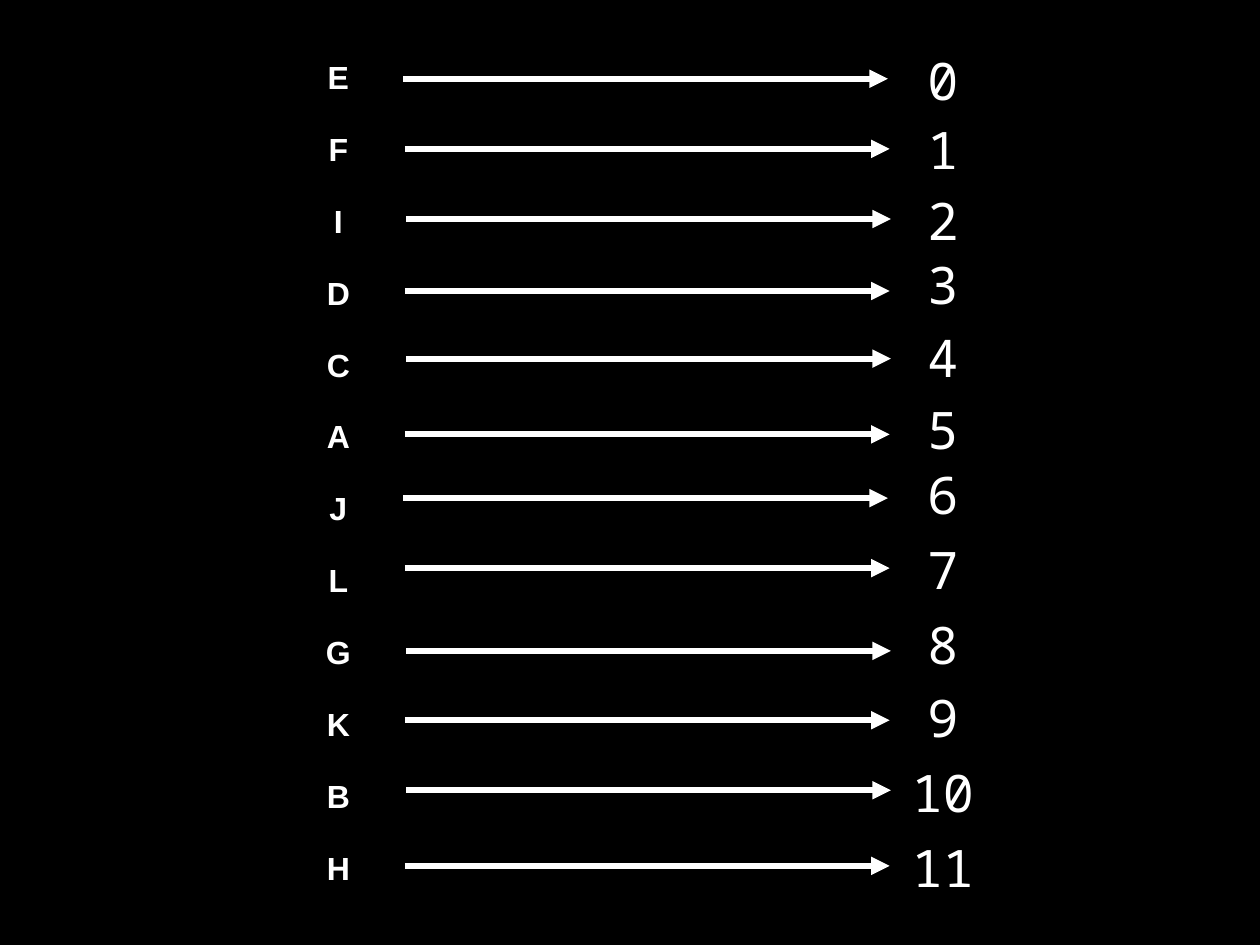
from dataclasses import dataclass

from lxml import etree
from pptx import Presentation
from pptx import util as u
from pptx.dml.color import RGBColor
from pptx.enum import shapes, text
from pptx.oxml.ns import qn


@dataclass(frozen=True)
class Theme:
    background: RGBColor = RGBColor(0, 0, 0)
    ink: RGBColor = RGBColor(255, 255, 255)
    letter_font: str = "Arial"
    letter_size: float = 26
    index_font: str = "Noto Sans Mono"
    index_size: float = 42
    arrow_weight: float = 5
    inset: float = 4


class MappingSlide:
    def __init__(self, deck, theme):
        self.theme = theme
        self.slide = deck.slides.add_slide(deck.slide_layouts[6])
        self.slide.background.fill.solid()
        self.slide.background.fill.fore_color.rgb = theme.background

    def label(self, frame, content, font_name, size, bold=False):
        frame.margin_left = frame.margin_right = u.Pt(self.theme.inset)
        frame.margin_top = frame.margin_bottom = u.Pt(self.theme.inset)
        frame.vertical_anchor = text.MSO_ANCHOR.MIDDLE
        line = frame.paragraphs[0]
        line.text = content
        line.alignment = text.PP_ALIGN.CENTER
        line.font.name = font_name
        line.font.size = u.Pt(size)
        line.font.bold = bold
        line.font.color.rgb = self.theme.ink

    def letter(self, content, left, top, diameter):
        node = self.slide.shapes.add_shape(
            shapes.MSO_SHAPE.OVAL, u.Pt(left), u.Pt(top), u.Pt(diameter), u.Pt(diameter))
        node.shadow.inherit = False
        node.fill.background()
        node.line.fill.background()
        self.label(node.text_frame, content, self.theme.letter_font,
                   self.theme.letter_size, bold=True)

    def arrow(self, left, y, length):
        link = self.slide.shapes.add_connector(
            shapes.MSO_CONNECTOR.STRAIGHT, u.Pt(left), u.Pt(y), u.Pt(left + length), u.Pt(y))
        link.line.color.rgb = self.theme.ink
        link.line.width = u.Pt(self.theme.arrow_weight)
        properties = link.element.spPr
        etree.SubElement(properties.find(qn("a:ln")), qn("a:tailEnd"), type="triangle")
        etree.SubElement(properties, qn("a:effectLst"))

    def index(self, content, center, top, width, height):
        box = self.slide.shapes.add_textbox(
            u.Pt(center - width / 2), u.Pt(top), u.Pt(width), u.Pt(height))
        box.text_frame.word_wrap = False
        box.text_frame.auto_size = text.MSO_AUTO_SIZE.SHAPE_TO_FIT_TEXT
        self.label(box.text_frame, content, self.theme.index_font, self.theme.index_size)


# Letter, arrow start, arrow height, top of the index (hand-placed rows)
ROWS = [
    ("E", 327.6, 64, 36.7),
    ("F", 329, 121, 92.2),
    ("I", 330, 178, 150.5),
    ("D", 329, 236.5, 202.3),
    ("C", 330, 291.5, 261.4),
    ("A", 329, 353, 319.7),
    ("J", 327.6, 404.8, 373),
    ("L", 329, 461.7, 433.4),
    ("G", 330, 529, 494.6),
    ("K", 329, 585.3, 553.7),
    ("B", 330, 642.2, 614.9),
    ("H", 329, 703.7, 676.1),
]
LETTER_LEFT, LETTER_TOP, LETTER_STEP, DIAMETER = 250, 37.5, 58.4, 50
ARROW_LENGTH = 394
INDEX_CENTER, INDEX_HEIGHT, DIGIT_WIDTH = 766.3, 57, 25.2


def main():
    deck = Presentation()
    deck.slide_width, deck.slide_height = u.Pt(1024), u.Pt(768)
    theme = Theme()
    mapping = MappingSlide(deck, theme)

    # One row per letter: letter, arrow, index
    for position, (letter, arrow_left, arrow_y, index_top) in enumerate(ROWS):
        number = str(position)
        mapping.letter(letter, LETTER_LEFT, LETTER_TOP + position * LETTER_STEP, DIAMETER)
        mapping.arrow(arrow_left, arrow_y, ARROW_LENGTH)
        mapping.index(number, INDEX_CENTER, index_top,
                      len(number) * DIGIT_WIDTH + 2 * theme.inset, INDEX_HEIGHT)

    deck.save("out.pptx")


if __name__ == "__main__":
    main()
